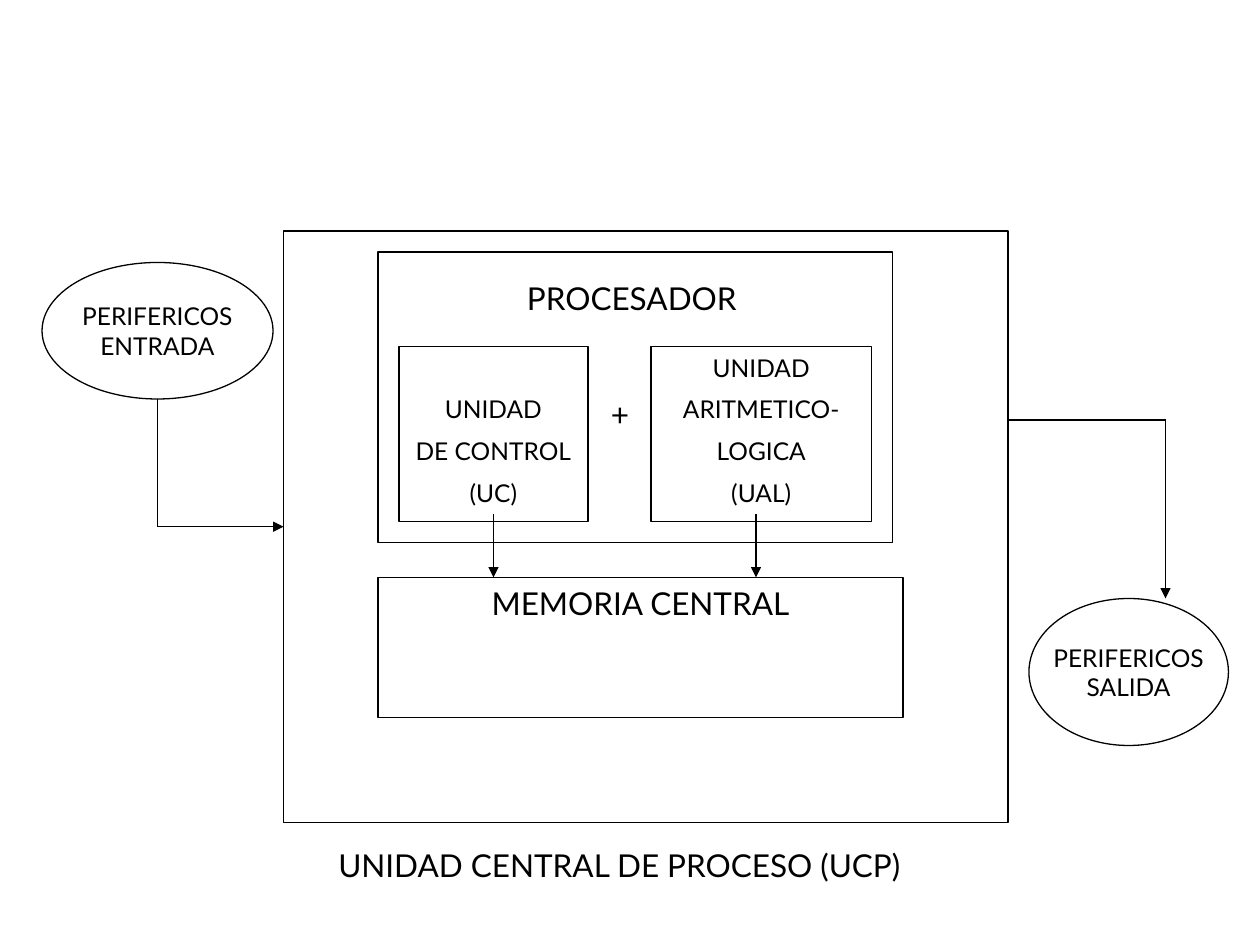
from dataclasses import dataclass

import pptx
import pptx.dml.color
import pptx.enum.shapes
import pptx.enum.text
import pptx.oxml
import pptx.oxml.ns
import pptx.presentation
import pptx.shapes.autoshape
import pptx.shapes.connector
import pptx.slide
import pptx.util

Pt = pptx.util.Pt
KIND = pptx.enum.shapes.MSO_SHAPE
ALIGN = pptx.enum.text.PP_ALIGN
ANCHOR = pptx.enum.text.MSO_ANCHOR
FONT = "Lato"
INK = "000000"
PAPER = "FFFFFF"


@dataclass
class Box:
    left: float
    top: float
    width: float
    height: float
    text: str = ""
    size: float = 14
    inset: float = 3.6


@dataclass
class Label:
    left: float
    top: float
    width: float
    height: float
    text: str
    align: ALIGN = ALIGN.LEFT


@dataclass
class Line:
    x1: float
    y1: float
    x2: float
    y2: float
    arrow: bool = True


UNIT = Box(162, 132, 414, 338)
MIDDLE = UNIT.top + UNIT.height / 2
BOXES = [
    Box(216, 144, 294, 166),
    Box(216, 330, 300, 80, "MEMORIA CENTRAL", 18),
    Box(228, 198, 108, 100, "UNIDAD\nDE CONTROL\n(UC)", inset=27.4),
    Box(372, 198, 126, 100, "UNIDAD\nARITMETICO-\nLOGICA\n(UAL)"),
]
OVALS = [
    Box(588, 342, 114, 84, "PERIFERICOS\nSALIDA"),
    Box(24, 150, 132, 78, "PERIFERICOS\nENTRADA"),
]
LABELS = [
    Label(294, 156, 168, 29, "PROCESADOR"),
    Label(342, 222, 18, 36, "+"),
    Label(102, 480, 504, 36, "UNIDAD CENTRAL DE PROCESO (UCP)", ALIGN.CENTER),
]
LINES = [
    Line(576, 240, 666, 240, False),
    Line(666, 240, 666, 342),
    Line(90, 228, 90, MIDDLE, False),
    Line(282, 294, 282, 330),
    Line(432, 294, 432, 330),
]
ENTRY = Line(90, MIDDLE, UNIT.left, MIDDLE)


def tint(code: str) -> pptx.dml.color.RGBColor:
    return pptx.dml.color.RGBColor.from_string(code)


def write(frame, text: str, size: float, align: ALIGN, gap: float = 0) -> None:
    """Fill a text frame, with a gap above each paragraph after the first."""
    frame.text = text
    for i, para in enumerate(frame.paragraphs):
        para.alignment = align
        para.space_before = Pt(gap if i else 0)
        for run in para.runs:
            run.font.name = FONT
            run.font.size = Pt(size)
            run.font.color.rgb = tint(INK)


def draw_shape(
    slide: pptx.slide.Slide, kind: KIND, box: Box
) -> pptx.shapes.autoshape.Shape:
    shape = slide.shapes.add_shape(
        kind, Pt(box.left), Pt(box.top), Pt(box.width), Pt(box.height)
    )
    shape.shadow.inherit = False
    shape.line.color.rgb = tint(INK)
    shape.line.width = Pt(0.75)
    return shape


def draw_box(slide: pptx.slide.Slide, box: Box) -> pptx.shapes.autoshape.Shape:
    shape = draw_shape(slide, KIND.RECTANGLE, box)
    shape.fill.background()
    if box.text:
        frame = shape.text_frame
        frame.word_wrap = True
        frame.vertical_anchor = ANCHOR.TOP
        frame.margin_top = Pt(box.inset)
        write(frame, box.text, box.size, ALIGN.CENTER, box.size / 2)
    return shape


def draw_oval(slide: pptx.slide.Slide, box: Box) -> None:
    shape = draw_shape(slide, KIND.OVAL, box)
    shape.fill.solid()
    shape.fill.fore_color.rgb = tint(PAPER)
    frame = shape.text_frame
    frame.word_wrap = False
    frame.vertical_anchor = ANCHOR.MIDDLE
    write(frame, box.text, box.size, ALIGN.CENTER)


def draw_label(slide: pptx.slide.Slide, label: Label) -> None:
    shape = slide.shapes.add_textbox(
        Pt(label.left), Pt(label.top), Pt(label.width), Pt(label.height)
    )
    shape.text_frame.word_wrap = True
    write(shape.text_frame, label.text, 18, label.align)


def draw_line(
    slide: pptx.slide.Slide, line: Line
) -> pptx.shapes.connector.Connector:
    link = slide.shapes.add_connector(
        pptx.enum.shapes.MSO_CONNECTOR.STRAIGHT,
        Pt(line.x1), Pt(line.y1), Pt(line.x2), Pt(line.y2),
    )
    link.line.color.rgb = tint(INK)
    link.line.width = Pt(0.75)
    if line.arrow:
        tail = pptx.oxml.parse_xml(
            f'<a:tailEnd {pptx.oxml.ns.nsdecls("a")} type="triangle"/>'
        )
        link.line._get_or_add_ln().append(tail)
    link._element.spPr.append(
        pptx.oxml.parse_xml(f'<a:effectLst {pptx.oxml.ns.nsdecls("a")}/>')
    )
    return link


def main() -> None:
    deck = pptx.Presentation()
    deck.slide_width, deck.slide_height = Pt(720), Pt(540)
    slide = deck.slides.add_slide(deck.slide_layouts[6])
    unit = draw_box(slide, UNIT)
    for box in BOXES:
        draw_box(slide, box)
    for oval in OVALS:
        draw_oval(slide, oval)
    for label in LABELS:
        draw_label(slide, label)
    for line in LINES:
        draw_line(slide, line)
    draw_line(slide, ENTRY).end_connect(unit, 1)
    deck.save("out.pptx")


if __name__ == "__main__":
    main()
